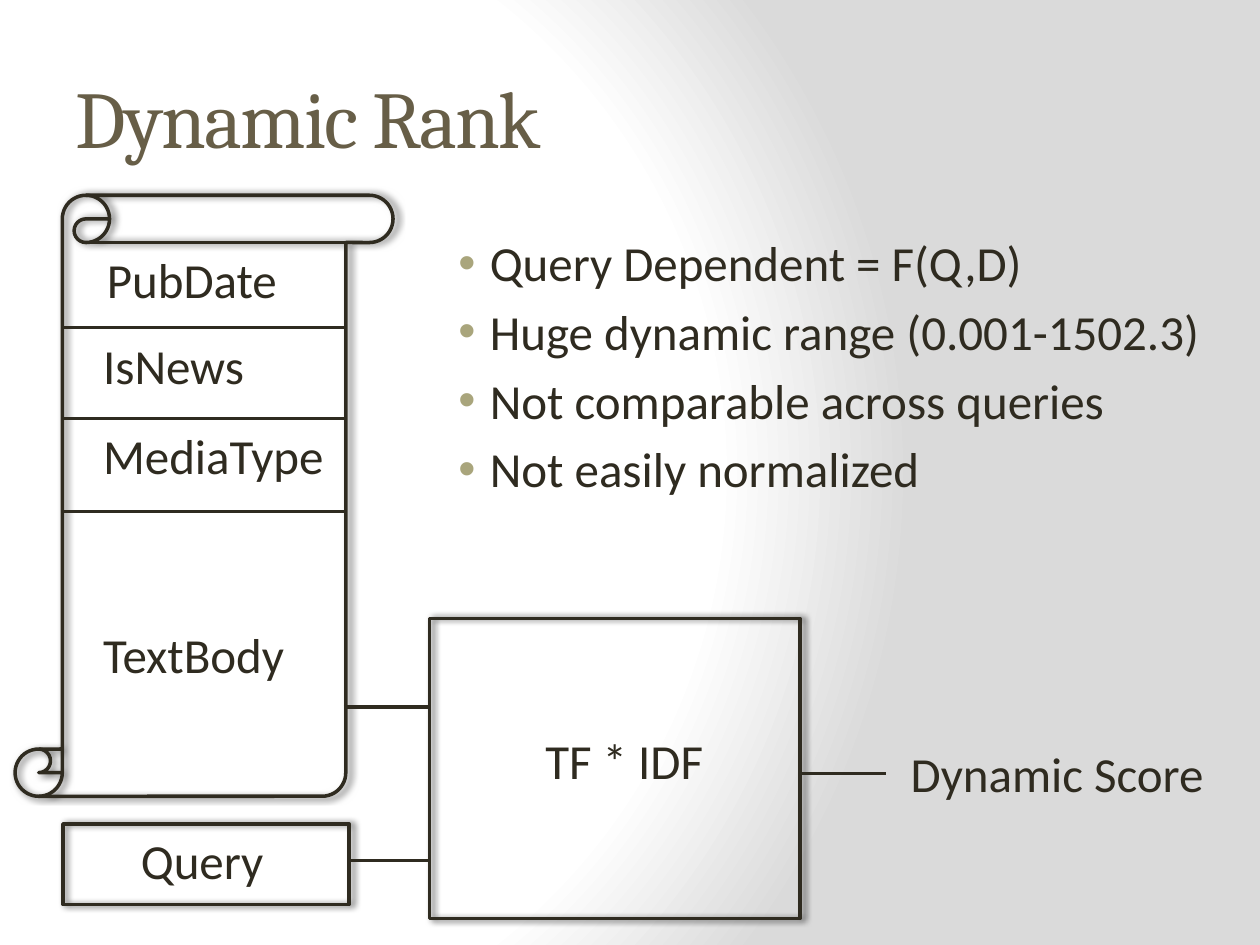
import pptx
import pptx.util
import pptx.dml.color
import pptx.enum.shapes
import pptx.enum.text
import pptx.oxml
import pptx.oxml.ns
from lxml import etree

Inches, Pt = pptx.util.Inches, pptx.util.Pt
SHAPE = pptx.enum.shapes.MSO_SHAPE
ANCHOR = pptx.enum.text.MSO_ANCHOR
FIT = pptx.enum.text.MSO_AUTO_SIZE
qn = pptx.oxml.ns.qn
NS = pptx.oxml.ns.nsdecls("a")
INK = pptx.dml.color.RGBColor(0x2F, 0x2B, 0x20)
OLIVE = pptx.dml.color.RGBColor(0x67, 0x5E, 0x47)
SAGE = pptx.dml.color.RGBColor(0xA9, 0xA5, 0x7C)
WHITE = pptx.dml.color.RGBColor(0xFF, 0xFF, 0xFF)
GREY = pptx.dml.color.RGBColor(0xDA, 0xDA, 0xDA)
BODY = {"name": "Calibri", "size": Pt(28)}
HEAD = {"name": "Cambria", "size": Pt(46), "bold": False}


def write(para, text, form, color):
    run = para.add_run()
    run.text = text
    for key, value in form.items():
        setattr(run.font, key, value)
    run.font.color.rgb = color
    return run


deck = pptx.Presentation()
deck.slide_width, deck.slide_height = Inches(10), Inches(7.5)
slide = deck.slides.add_slide(deck.slide_layouts[5])
shapes = slide.shapes

# Background: white glow from the left, fading to grey
fill = slide.background.fill
fill.gradient()
grad = slide.element.find(".//" + qn("a:gradFill"))
stops = "".join(
    f'<a:gs pos="{pos}"><a:srgbClr val="{color}"/></a:gs>'
    for pos, color in [(0, WHITE), (75000, WHITE), (100000, GREY)])
grad.getparent().replace(grad, pptx.oxml.parse_xml(
    f'<a:gradFill {NS} rotWithShape="1"><a:gsLst>{stops}</a:gsLst>'
    '<a:path path="circle"><a:fillToRect l="20000" t="50000" r="100000" b="50000"/>'
    '</a:path></a:gradFill>'))

# Title
title = shapes.title
spot = {"left": 0.5, "top": 0.3, "width": 9.12, "height": 1.25}
for key, value in spot.items():
    setattr(title, key, Inches(value))
frame = title.text_frame
frame.vertical_anchor = ANCHOR.MIDDLE
frame.auto_size = FIT.NONE
para = frame.paragraphs[0]
para.alignment = pptx.enum.text.PP_ALIGN.LEFT
run = write(para, "Dynamic Rank", HEAD, OLIVE)
run.font._element.set("spc", "-100")

# Bullet list
frame = shapes.add_textbox(Inches(3.41), Inches(1.8), Inches(6.26), Inches(2.9)).text_frame
frame.word_wrap = True
points = ["Query Dependent = F(Q,D)", "Huge dynamic range (0.001-1502.3)",
          "Not comparable across queries", "Not easily normalized"]
for i, text in enumerate(points):
    para = frame.add_paragraph() if i else frame.paragraphs[0]
    para.space_before = Pt(5.6)
    write(para, text, BODY, INK)
    props = para._p.get_or_add_pPr()
    props.set("marL", str(Inches(0.38)))
    props.set("indent", str(Inches(-0.25)))
    for xml in (f'<a:buClr {NS}><a:srgbClr val="{SAGE}"/></a:buClr>',
                f'<a:buFont {NS} typeface="Arial"/>',
                f'<a:buChar {NS} char="•"/>'):
        props.append(pptx.oxml.parse_xml(xml))

# Document scroll, scoring box and query box
for kind, x, y, w, h in [(SHAPE.RECTANGLE, 3.41, 4.91, 2.94, 2.38),
                         (SHAPE.VERTICAL_SCROLL, 0.12, 1.55, 3, 4.77),
                         (SHAPE.RECTANGLE, 0.5, 6.54, 2.27, 0.64)]:
    box = shapes.add_shape(kind, Inches(x), Inches(y), Inches(w), Inches(h))
    box.fill.background()
    box.line.color.rgb = INK
    box.line.width = Pt(2)
    box.shadow.inherit = False
    box._element.spPr.find(qn("a:effectLst")).append(pptx.oxml.parse_xml(
        f'<a:outerShdw {NS} blurRad="{Pt(4)}" dist="{Pt(2)}" dir="0" rotWithShape="0">'
        '<a:srgbClr val="000000"><a:alpha val="60000"/></a:srgbClr></a:outerShdw>'))

# Level lines: field dividers, then the flow into and out of the scoring box
for x, end, y in [(0.5, 2.73, 2.6), (0.5, 2.73, 3.32), (0.5, 2.73, 4.06),
                  (2.73, 3.41, 5.61), (2.77, 3.41, 6.83), (6.35, 7.03, 6.14)]:
    line = shapes.add_connector(pptx.enum.shapes.MSO_CONNECTOR.STRAIGHT,
                                Inches(x), Inches(y), Inches(end), Inches(y))
    line.line.color.rgb = INK
    line.line.width = Pt(2)
    etree.SubElement(line._element.spPr, qn("a:effectLst"))

# Labels
for text, x, y, w in [("PubDate", 0.75, 1.93, 1.57), ("IsNews", 0.72, 2.61, 1.34),
                      ("MediaType", 0.72, 3.33, 1.99), ("TextBody", 0.72, 4.91, 1.7),
                      ("TF * IDF", 4.23, 5.75, 1.47), ("Query", 1.02, 6.54, 1.18),
                      ("Dynamic Score", 7.13, 5.85, 2.56)]:
    frame = shapes.add_textbox(Inches(x), Inches(y), Inches(w), Inches(0.57)).text_frame
    frame.word_wrap = False
    frame.auto_size = FIT.SHAPE_TO_FIT_TEXT
    write(frame.paragraphs[0], text, BODY, INK)

deck.save("out.pptx")
